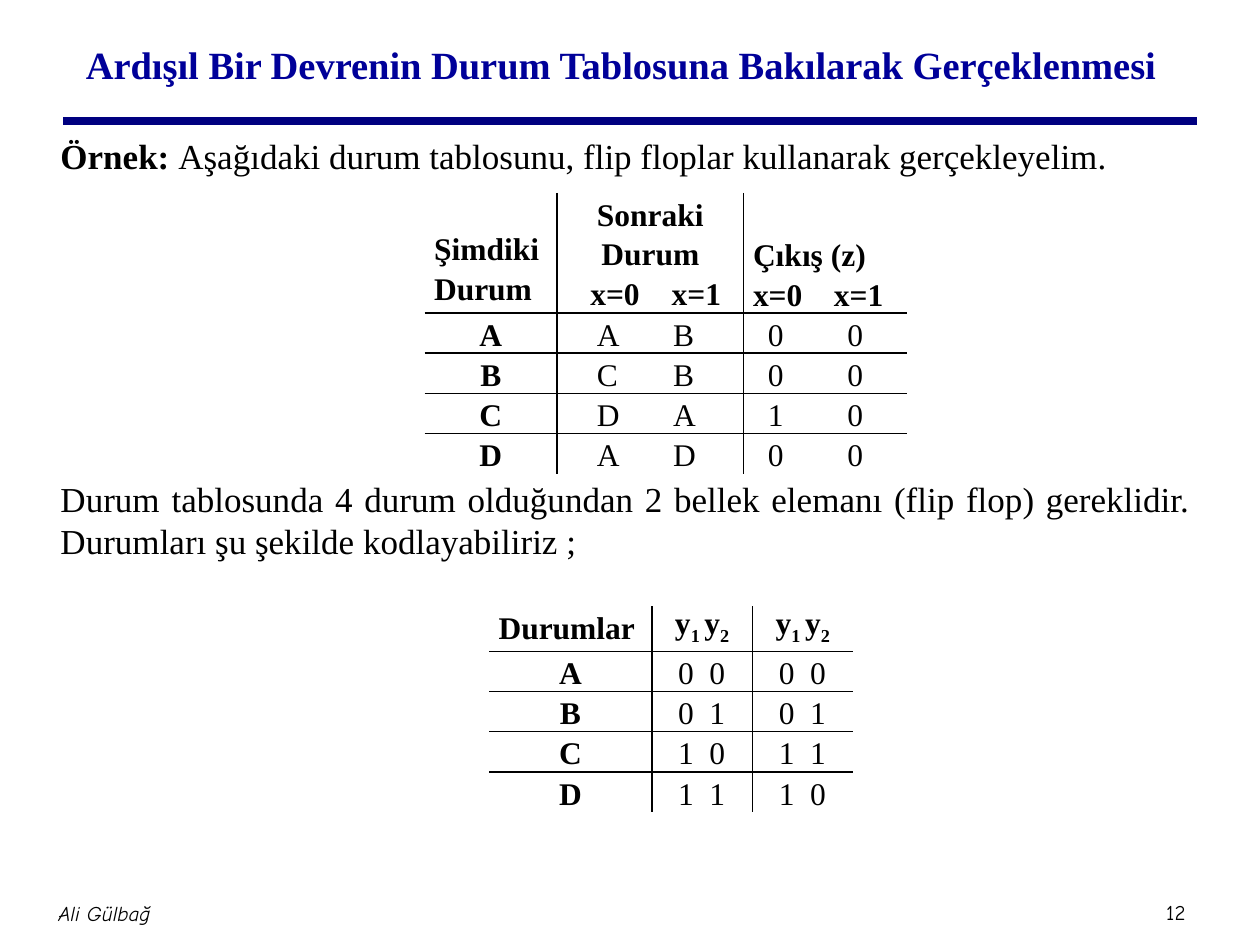
from lxml.etree import SubElement as Sub
from pptx import Presentation as Deck
from pptx.dml.color import RGBColor as Rgb
from pptx.enum.shapes import MSO_CONNECTOR as Conn
from pptx.enum.text import MSO_ANCHOR as Anchor, PP_ALIGN as Align
from pptx.oxml.ns import qn
from pptx.util import Cm, Pt

HUES = {"ink": "000000", "title": "000099", "rule": "000080"}
SERIF, COMIC = "Times New Roman", "Comic Neue"
MID, LEFT, JUST = Align.CENTER, Align.LEFT, Align.JUSTIFY


def add_run(para, text, size, bold=False, face=SERIF, hue="ink", slant=False, sub=False):
    run = para.add_run()
    run.text = text
    font = run.font
    font.name, font.size, font.bold, font.italic = face, Pt(size), bold, slant
    font.color.rgb = Rgb.from_string(HUES[hue])
    if sub:
        run._r.get_or_add_rPr().set("baseline", "-25000")


def add_box(slide, x, y, w, h, pad=0.25, anchor=Anchor.MIDDLE):
    frame = slide.shapes.add_textbox(Cm(x), Cm(y), Cm(w), Cm(h)).text_frame
    frame.word_wrap = True
    frame.vertical_anchor = anchor
    frame.margin_left = frame.margin_right = Cm(pad)
    frame.margin_top = frame.margin_bottom = Cm(0.13)
    return frame


def add_line(slide, x, y, end, hue, width):
    line = slide.shapes.add_connector(Conn.STRAIGHT, Cm(x), Cm(y), Cm(end), Cm(y))
    line.line.color.rgb = Rgb.from_string(HUES[hue])
    line.line.width = Pt(width)
    Sub(line._element.spPr, qn("a:effectLst"))


def set_edges(cell, inner):
    """Draw the edges named in inner and clear the rest."""
    props = cell._tc.get_or_add_tcPr()
    for side in "LRTB":
        edge = Sub(props, qn("a:ln" + side), w=str(Pt(1)))
        if side in inner:
            fill = Sub(edge, qn("a:solidFill"))
            Sub(fill, qn("a:srgbClr"), val=HUES["ink"])
        else:
            Sub(edge, qn("a:noFill"))
    cell.fill.background()


def add_grid(slide, x, y, cols, head, row, count):
    """Add a table with inner lines only."""
    total = head + row * (count - 1)
    grid = slide.shapes.add_table(
        count, len(cols), Cm(x), Cm(y), Cm(sum(cols)), Cm(total)).table
    grid.first_row = grid.horz_banding = False
    for col, width in zip(grid.columns, cols):
        col.width = Cm(width)
    for r, band in enumerate(grid.rows):
        band.height = Cm(row if r else head)
        for c, cell in enumerate(band.cells):
            cell.margin_left = cell.margin_right = Cm(0.19)
            cell.margin_top = cell.margin_bottom = 0
            tests = {"L": c > 0, "R": c < len(cols) - 1, "T": r > 0, "B": r < count - 1}
            set_edges(cell, [side for side, on in tests.items() if on])
    return grid


def add_text(cell, parts, align=LEFT, stops=(), first=True):
    """Write one paragraph of (text, bold, sub) runs in a cell."""
    frame = cell.text_frame
    para = frame.paragraphs[0] if first else frame.add_paragraph()
    # A fixed pitch keeps each line within its row
    para.alignment, para.line_spacing = align, Pt(22.8)
    if stops:
        tabs = Sub(para._p.get_or_add_pPr(), qn("a:tabLst"))
        for stop in stops:
            Sub(tabs, qn("a:tab"), pos=str(Cm(stop)), algn="l")
    for text, bold, sub in parts:
        add_run(para, text, 18, bold, sub=sub)


def bold(text):
    return [(text, True, False)]


def plain(text):
    return [(text, False, False)]


def state_table(slide):
    grid = add_grid(slide, 8.56, 3.89, (2.67, 3.76, 3.3), 2.42, 0.81, 5)
    now, after, out = grid.rows[0].cells
    now.margin_top = Cm(0.69)
    add_text(now, bold("Şimdiki Durum"))
    add_text(after, bold("Sonraki Durum"), MID)
    add_text(after, bold("\tx=0\tx=1"), stops=(0.48, 2.12), first=False)
    out.vertical_anchor = Anchor.BOTTOM
    add_text(out, bold("Çıkış (z)"))
    add_text(out, bold("x=0\tx=1"), stops=(1.63,), first=False)
    data = (("A", "AB", "00"), ("B", "CB", "00"), ("C", "DA", "10"), ("D", "AD", "00"))
    for r, (name, then, bits) in enumerate(data, 1):
        add_text(grid.cell(r, 0), bold(name), MID)
        add_text(grid.cell(r, 1), plain("\t" + "\t".join(then)), stops=(0.61, 2.15))
        add_text(grid.cell(r, 2), plain("\t" + "\t".join(bits)), stops=(0.3, 1.9))


def code_table(slide):
    grid = add_grid(slide, 9.86, 12.22, (3.28, 2.03, 2.03), 0.91, 0.81, 5)
    add_text(grid.cell(0, 0), bold("Durumlar"))
    pair = [("y", True, False), ("1 ", True, True), ("y", True, False), ("2", True, True)]
    for c in (1, 2):
        add_text(grid.cell(0, c), pair, MID)
    data = (("A", "00", "00"), ("B", "01", "01"), ("C", "10", "11"), ("D", "11", "10"))
    for r, (name, *codes) in enumerate(data, 1):
        add_text(grid.cell(r, 0), bold(name), MID)
        for c, code in enumerate(codes, 1):
            add_text(grid.cell(r, c), plain("\t" + "\t".join(code)), stops=(0.34, 0.97))


def body_text(slide):
    frame = add_box(slide, 0.97, 2.59, 23.27, 14.1, anchor=Anchor.TOP)
    intro, note = frame.paragraphs[0], frame.add_paragraph()
    for para in (intro, note):
        para.alignment, para.line_spacing = JUST, Pt(24)
    add_run(intro, "Örnek: ", 20, True)
    add_run(intro, "Aşağıdaki durum tablosunu, flip floplar kullanarak gerçekleyelim.", 20)
    # Room for the state table
    note.space_before = Pt(172)
    add_run(note, "Durum tablosunda 4 durum olduğundan 2 bellek elemanı (flip flop) "
                  "gereklidir. Durumları şu şekilde kodlayabiliriz ;", 20)


def add_label(slide, place, text, size, pad=0.13, **look):
    para = add_box(slide, *place, pad=pad).paragraphs[0]
    para.alignment = MID
    add_run(para, text, size, **look)


def main():
    deck = Deck()
    deck.slide_width, deck.slide_height = Cm(25.4), Cm(19.05)
    slide = deck.slides.add_slide(deck.slide_layouts[6])

    # Rule and footer
    add_line(slide, 1.27, 2.44, 24.13, "rule", 4.5)
    add_label(slide, (23.11, 18.01, 1.19, 0.76), "12", 12, face=COMIC)
    add_label(slide, (-2.44, 17.78, 9.09, 1.27), "Ali Gülbağ", 12, face=COMIC, slant=True)

    # Title and body
    add_label(slide, (0.38, 0.2, 24.28, 2.18),
              "Ardışıl Bir Devrenin Durum Tablosuna Bakılarak Gerçeklenmesi",
              22, pad=0.25, bold=True, hue="title")
    body_text(slide)

    # Tables
    state_table(slide)
    code_table(slide)
    deck.save("out.pptx")


if __name__ == "__main__":
    main()
